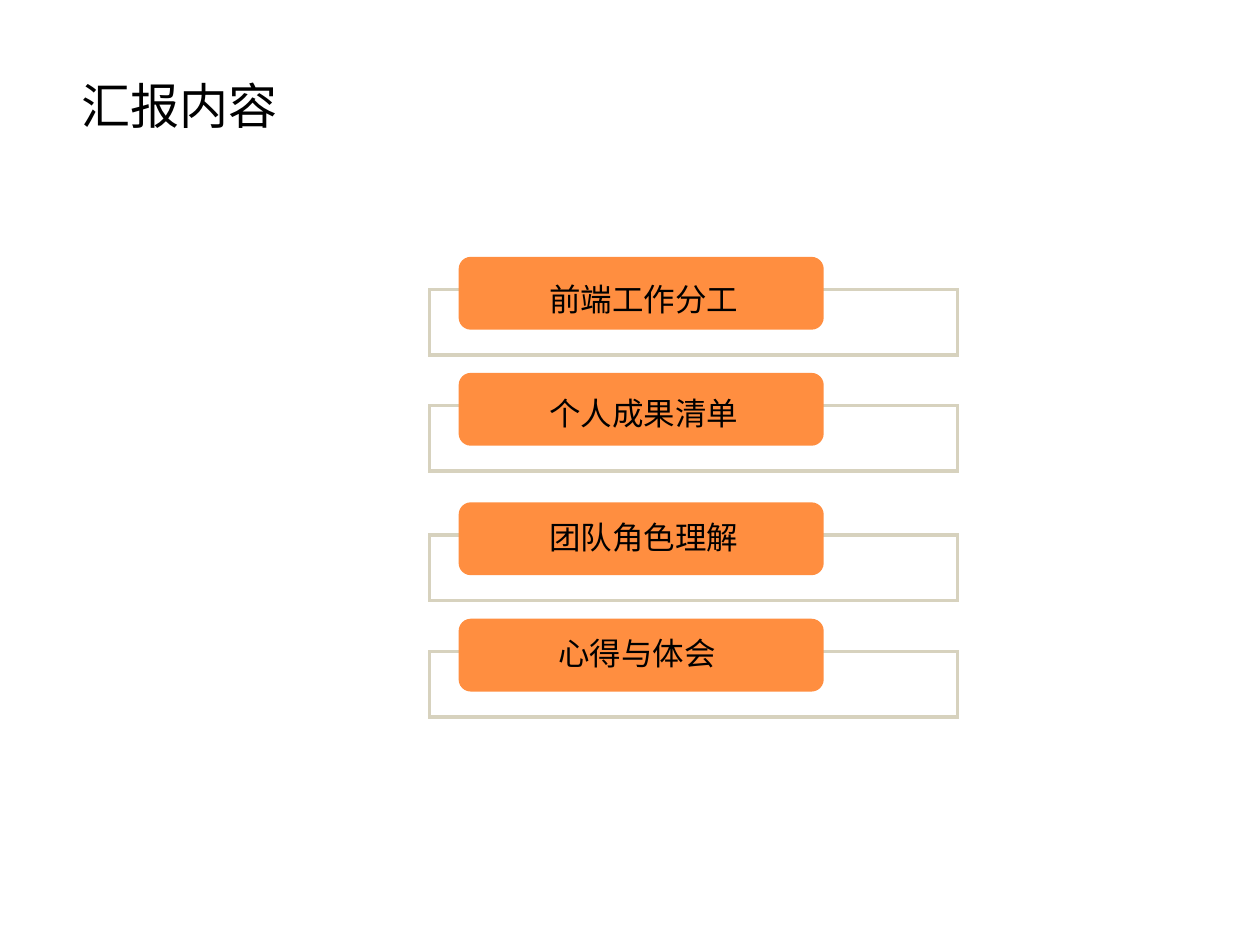
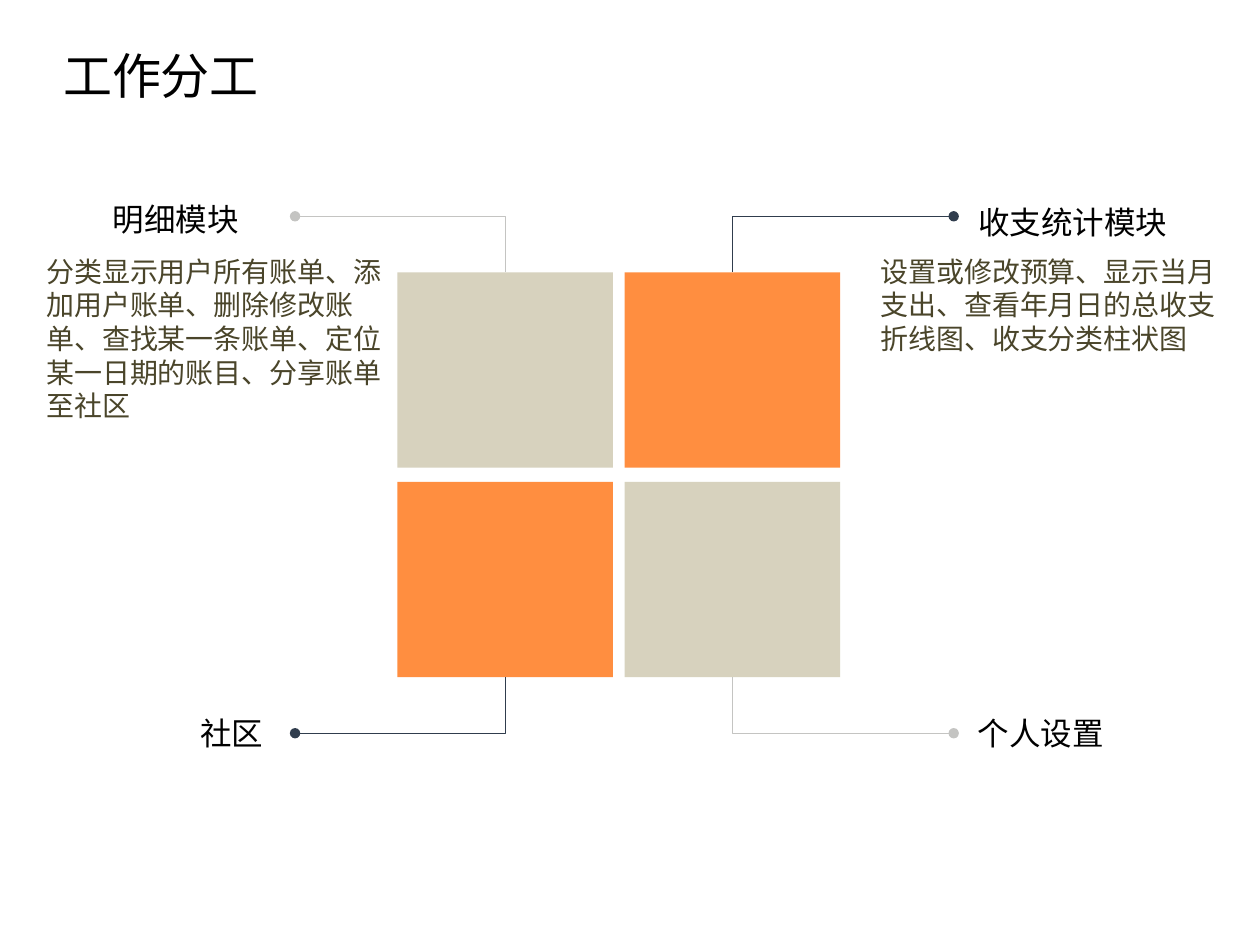
from pptx import Presentation
from pptx.dml.color import RGBColor
from pptx.enum.shapes import MSO_CONNECTOR as CONN, MSO_SHAPE as SHAPE
from pptx.oxml.ns import qn
from pptx.util import Pt
from lxml.etree import SubElement

C = {"orange": "FF8E40", "sand": "D7D2BE", "navy": "303D4D",
     "grey": "C4C4C2", "black": "000000", "olive": "4A452A"}
CJK = "Noto Sans CJK SC"
STYLES = {
    "title": {"size": 28, "name": CJK, "color": "black"},
    "label": {"size": 18, "name": CJK, "color": "black"},
    "body": {"size": 16, "name": "Arial", "color": "olive"},
}

AGENDA_TITLE = ("汇报内容", 39.6, 39.6)
AGENDA = [
    ("前端工作分工", 146.8, 306.7, 156.4),
    ("个人成果清单", 213.1, 306.7, 221.8),
    ("团队角色理解", 287.1, 306.7, 292.3),
    ("心得与体会", 353.6, 311.8, 358.6),
]
FRAME = {"x": 245.5, "dy": 18.7, "w": 301.7, "h": 37.4}
BUTTON = {"x": 262.1, "w": 208.6, "h": 41.6}

WORK_TITLE = ("工作分工", 29, 22.3)
MODULES = [
    ("明细模块", 57.4, 110.7, "sand", "grey"),
    ("收支统计模块", 552, 112.3, "orange", "navy"),
    ("社区", 107.3, 404.6, "orange", "navy"),
    ("个人设置", 551.7, 404.6, "sand", "grey"),
]
DETAILS = [
    ("分类显示用户所有账单、添加用户账单、删除修改账单、查找某一条账单、"
     "定位某一日期的账目、分享账单至社区", 19.4, 141.8),
    ("设置或修改预算、显示当月支出、查看年月日的总收支折线图、收支分类柱状图",
     496.1, 141.8),
]
DETAIL_W = 207.4
TILE = {"x": 227.1, "y": 155.6, "w": 123.2, "h": 111.6, "dx": 129.9, "dy": 119.8}
DOT_X = (168.6, 545)
LEAD = 32


def rgb(name):
    return RGBColor.from_string(C[name])


def add_text(s, text, x, y, style, wrap_w=None):
    fmt = STYLES[style]
    size = fmt["size"]
    w = wrap_w or len(text) * size + 14.6
    sp = s.shapes.add_textbox(Pt(x), Pt(y), Pt(w), Pt(size * 1.2 + 7.2))
    tf = sp.text_frame
    tf.word_wrap = wrap_w is not None
    p = tf.paragraphs[0]
    p._p.get_or_add_pPr().set("hangingPunct", "0")
    r = p.add_run()
    r.text = text
    for key, value in {"size": Pt(size), "name": fmt["name"]}.items():
        setattr(r.font, key, value)
    r.font.color.rgb = rgb(fmt["color"])
    SubElement(r.font._element, qn("a:ea"), typeface=fmt["name"])


def add_box(s, kind, x, y, w, h, fill=None, line=None):
    sp = s.shapes.add_shape(kind, Pt(x), Pt(y), Pt(w), Pt(h))
    sp.shadow.inherit = False
    if fill:
        sp.fill.solid()
        sp.fill.fore_color.rgb = rgb(fill)
    else:
        sp.fill.background()
    if line:
        sp.line.color.rgb = rgb(line)
        sp.line.width = Pt(2)
        SubElement(sp._element.spPr.find(qn("a:ln")), qn("a:miter"), lim="800000")
    else:
        sp.line.fill.background()


def add_leader(s, dot_x, dot_y, tile_x, tile_y, color):
    cx = s.shapes.add_connector(CONN.ELBOW, Pt(dot_x), Pt(dot_y), Pt(tile_x), Pt(tile_y))
    cx.line.color.rgb = rgb(color)
    cx.line.width = Pt(0.75)
    sp_pr = cx._element.spPr
    sp_pr.find(qn("a:prstGeom")).set("prst", "bentConnector2")
    SubElement(sp_pr.find(qn("a:ln")), qn("a:headEnd"), type="oval")
    SubElement(sp_pr, qn("a:effectLst"))


def build_agenda(s):
    add_text(s, *AGENDA_TITLE, "title", wrap_w=139)
    for text, top, label_x, label_y in AGENDA:
        add_box(s, SHAPE.RECTANGLE, FRAME["x"], top + FRAME["dy"],
                FRAME["w"], FRAME["h"], line="sand")
        add_box(s, SHAPE.ROUNDED_RECTANGLE, BUTTON["x"], top,
                BUTTON["w"], BUTTON["h"], fill="orange")
        add_text(s, text, label_x, label_y, "label")


def build_work(s):
    add_text(s, *WORK_TITLE, "title")
    for i, (text, label_x, label_y, fill, line) in enumerate(MODULES):
        row, col = divmod(i, 2)
        x = TILE["x"] + col * TILE["dx"]
        y = TILE["y"] + row * TILE["dy"]
        edge = y + row * TILE["h"]
        dot_y = edge + (LEAD if row else -LEAD)
        add_box(s, SHAPE.RECTANGLE, x, y, TILE["w"], TILE["h"], fill=fill)
        add_leader(s, DOT_X[col], dot_y, x + TILE["w"] / 2, edge, line)
        add_text(s, text, label_x, label_y, "label")
    for detail in DETAILS:
        add_text(s, *detail, "body", wrap_w=DETAIL_W)


def main():
    prs = Presentation()
    prs.slide_width, prs.slide_height = Pt(720), Pt(540)
    for build in (build_agenda, build_work):
        build(prs.slides.add_slide(prs.slide_layouts[6]))
    prs.save("out.pptx")


if __name__ == "__main__":
    main()
